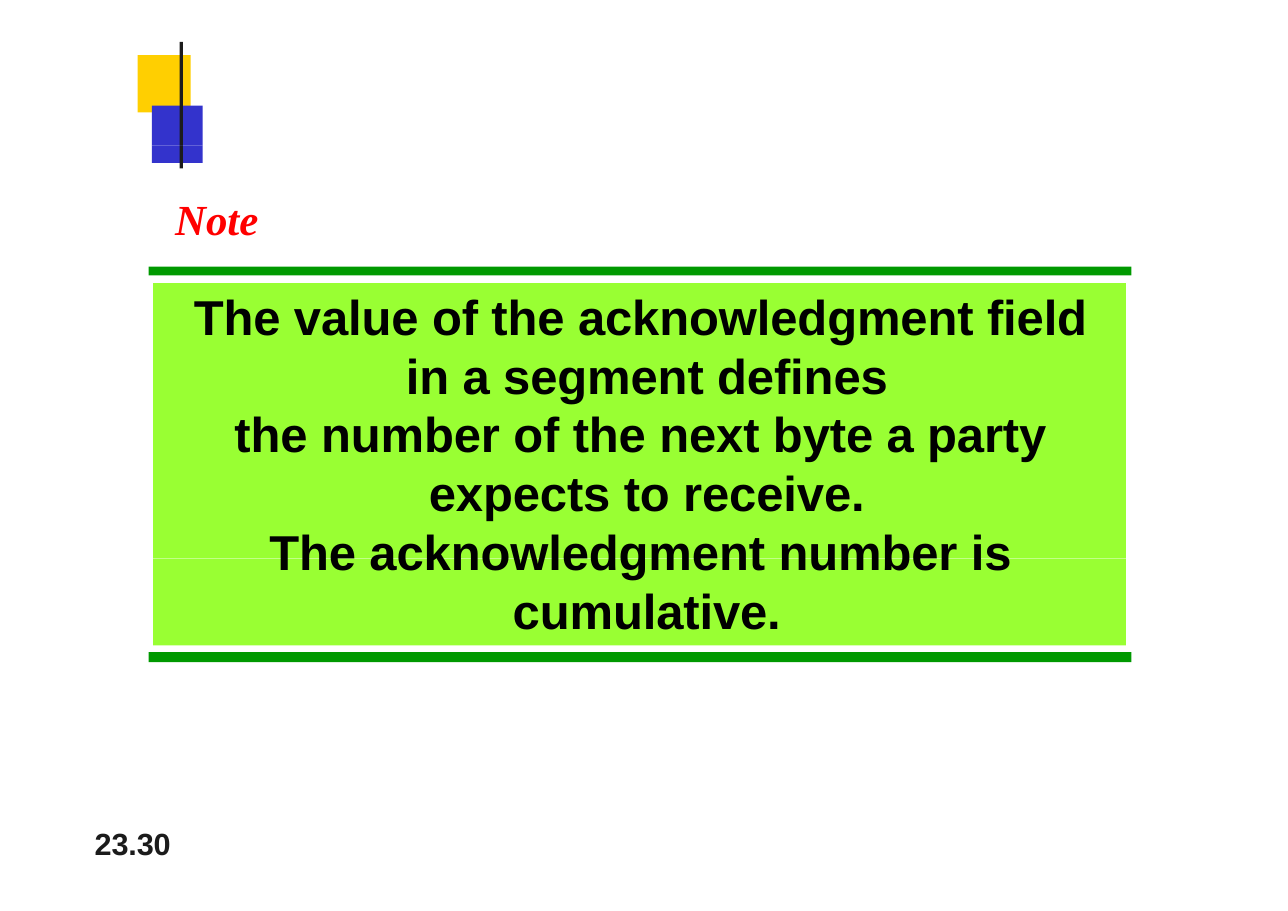
"""Build the note slide on the acknowledgment field of a segment."""
import pptx
import pptx.dml.color
import pptx.enum.shapes
import pptx.enum.text
import pptx.util

Inches = pptx.util.Inches
Pt = pptx.util.Pt
RGBColor = pptx.dml.color.RGBColor
PP_ALIGN = pptx.enum.text.PP_ALIGN

YELLOW = RGBColor(0xFF, 0xCF, 0x01)
BLUE = RGBColor(0x33, 0x33, 0xCC)
CHARCOAL = RGBColor(0x1C, 0x1C, 0x1C)
GREEN = RGBColor(0x00, 0x99, 0x00)
LIME = RGBColor(0x99, 0xFF, 0x33)
RED = RGBColor(0xFF, 0x00, 0x00)
BLACK = RGBColor(0x00, 0x00, 0x00)
NUMBER_GRAY = RGBColor(0x1B, 0x1B, 0x1B)

prs = pptx.Presentation()
prs.slide_width = Inches(11.69)
prs.slide_height = Inches(8.27)
s = prs.slides.add_slide(prs.slide_layouts[6])


def add_text(box, lines, font, size, color, line_pt=None, spacing=0):
    tf = s.shapes.add_textbox(*map(Inches, box)).text_frame
    tf.word_wrap = True
    tf.margin_left = tf.margin_top = tf.margin_right = tf.margin_bottom = 0
    for i, line in enumerate(lines):
        p = tf.paragraphs[0] if i == 0 else tf.add_paragraph()
        r = p.add_run()
        r.text = line
        r._r.get_or_add_rPr().set("spc", str(spacing))
        if line_pt:
            p.line_spacing = Pt(line_pt)
        p.font.name = font
        p.font.size = Pt(size)
        p.font.bold = True
        p.font.color.rgb = color
    return tf


blocks = [
    (1.25, 0.5, 0.48, 0.52, YELLOW),
    (1.38, 0.96, 0.46, 0.36, BLUE),
    (1.38, 1.32, 0.46, 0.16, BLUE),
    (1.63, 0.38, 0.03, 0.94, CHARCOAL),
    (1.63, 1.32, 0.03, 0.21, CHARCOAL),
    (1.35, 2.42, 8.92, 0.08, GREEN),
    (1.39, 2.57, 8.83, 1.56, LIME),
    (1.39, 4.13, 8.83, 0.94, LIME),
    (1.39, 5.07, 8.83, 0.79, LIME),
    (1.35, 5.92, 8.92, 0.09, GREEN),
]
for left, top, width, height, color in blocks:
    sp = s.shapes.add_shape(
        pptx.enum.shapes.MSO_SHAPE.RECTANGLE,
        Inches(left), Inches(top), Inches(width), Inches(height))
    sp.shadow.inherit = False
    sp.fill.solid()
    sp.fill.fore_color.rgb = color
    sp.line.fill.background()

note = add_text((1.59, 1.75, 0.78, 0.49), ["Note"], "Times New Roman", 28, RED)
note.paragraphs[0].font.italic = True

statements = [
    "The value of the acknowledgment field in a segment defines",
    "the number of the next byte a party expects to receive.",
    "The acknowledgment number is cumulative.",
]
body = add_text((1.66, 2.6, 8.3, 3.22), statements, "Arial", 32, BLACK, 38.4, -10)
for p in body.paragraphs:
    p.alignment = PP_ALIGN.CENTER
    pPr = p._p.get_or_add_pPr()
    pPr.set("marL", str(Inches(0.12)))
    pPr.set("indent", str(-Inches(0.12)))

add_text((0.86, 7.5, 0.75, 0.34), ["23.30"], "Arial", 20, NUMBER_GRAY, 23.1, -10)

prs.save("out.pptx")
